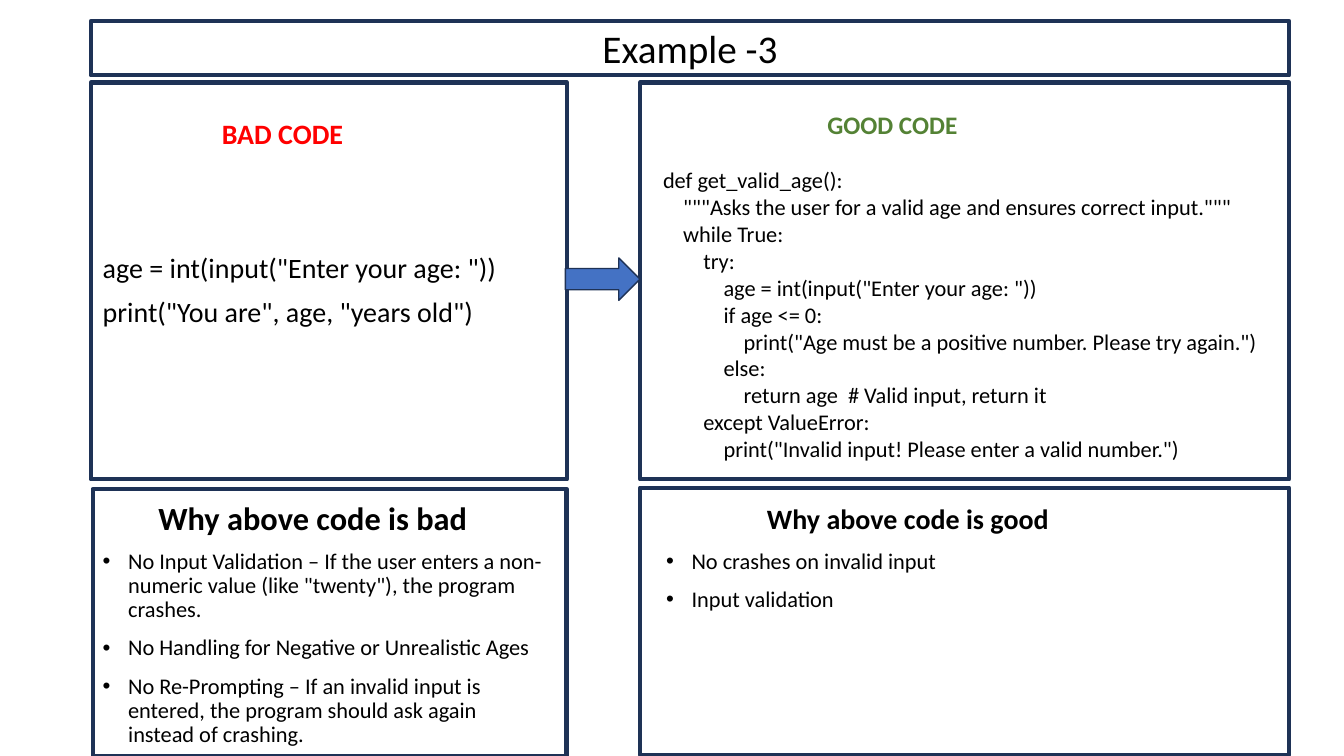
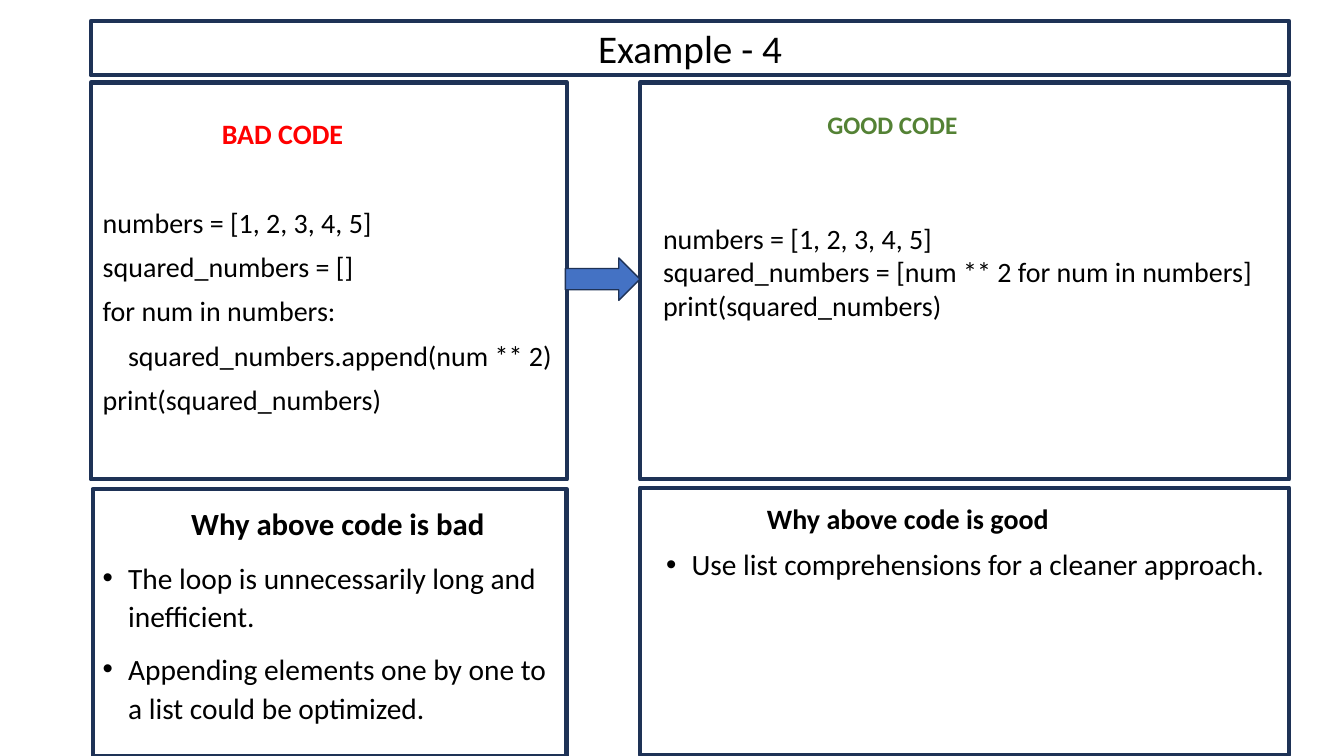
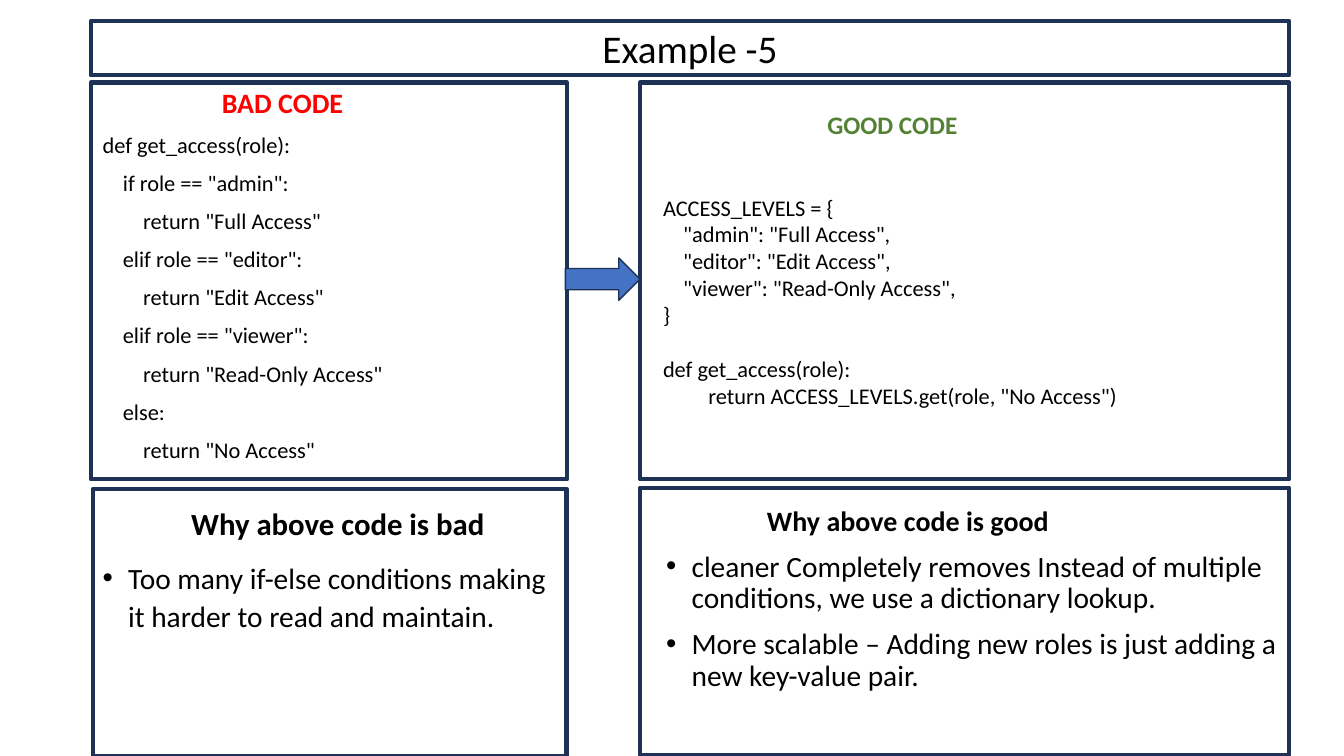
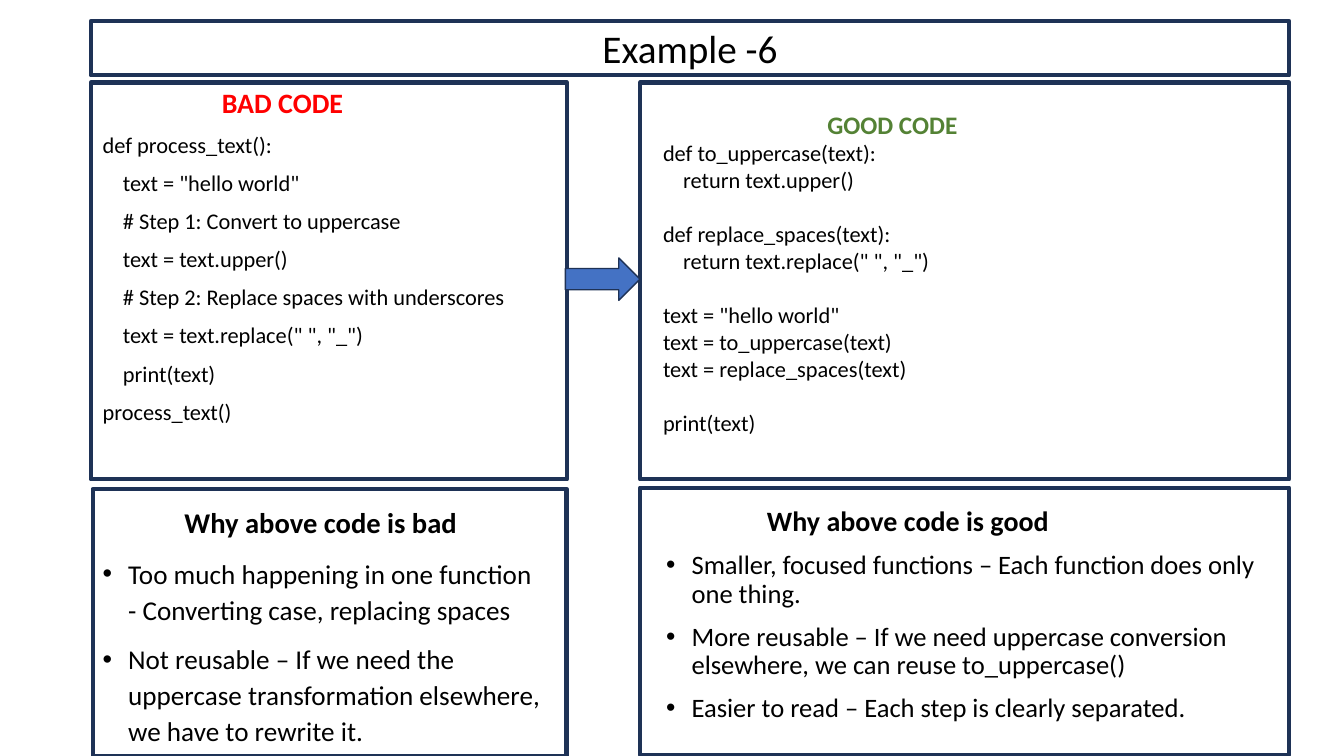
"""Build four slides that compare bad code with good code."""
from dataclasses import dataclass

from lxml.etree import SubElement
from pptx import Presentation
from pptx.dml.color import RGBColor
from pptx.enum.shapes import MSO_SHAPE
from pptx.enum.text import MSO_ANCHOR, PP_ALIGN
from pptx.oxml.ns import qn
from pptx.util import Cm, Pt

FONT = "Calibri"
BLACK = RGBColor(0x00, 0x00, 0x00)
RED = RGBColor(0xFF, 0x00, 0x00)
GREEN = RGBColor(0x54, 0x82, 0x35)
NAVY = RGBColor(0x1E, 0x32, 0x56)
BLUE = RGBColor(0x44, 0x72, 0xC4)

TITLE_BAR = (2.29, 0.53, 30.2, 1.37)
FRAMES = (
    (2.29, 2.08, 12, 10),
    (2.34, 12.32, 11.94, 6.73),
    (16.13, 2.08, 16.36, 10),
    (16.13, 12.29, 16.36, 6.73),
)
ARROW = (14.25, 6.5, 1.88, 1.07)
BAD_NOTES = (2.34, 12.7, 11.68, 6.58)
GOOD_CODE = (16.46, 2.62, 16.38, 9.25)
GOOD_NOTES = (16.54, 12.62, 15.95, 6.58)
BULLET_INDENT = Cm(0.64)
LINE_HEIGHT = 1.22


@dataclass
class Code:
    """A code listing, its text size and the gap above it in points."""
    size: float
    gap: float
    text: str


@dataclass
class Notes:
    """Bulleted reasons under a heading."""
    size: float
    lines: tuple
    spacing: float = 0.9
    heading_size: float = 20
    heading_spacing: float = 0.9
    heading_indent: float = 2.54


@dataclass
class Example:
    """Everything that differs from one slide to the next."""
    title: str
    bad_top: float
    bad_code: Code
    good_code: Code
    bad_notes: Notes
    good_notes: Notes


EXAMPLES = (
    Example(
        "Example -3",
        2.9,
        Code(20, 74, '''age = int(input("Enter your age: "))
print("You are", age, "years old")'''),
        Code(16, 19.5, '''def get_valid_age():
    """Asks the user for a valid age and ensures correct input."""
    while True:
        try:
            age = int(input("Enter your age: "))
            if age <= 0:
                print("Age must be a positive number. Please try again.")
            else:
                return age  # Valid input, return it
        except ValueError:
            print("Invalid input! Please enter a valid number.")'''),
        Notes(16, (
            'No Input Validation – If the user enters a non-numeric value (like "twenty"), the program crashes.',
            "No Handling for Negative or Unrealistic Ages",
            "No Re-Prompting – If an invalid input is entered, the program should ask again instead of crashing.",
        ), heading_size=23.1, heading_spacing=0.7, heading_indent=1.4),
        Notes(16, ("No crashes on invalid input", "Input validation")),
    ),
    Example(
        "Example - 4",
        2.9,
        Code(20, 42, '''numbers = [1, 2, 3, 4, 5]
squared_numbers = []
for num in numbers:
    squared_numbers.append(num ** 2)
print(squared_numbers)'''),
        Code(20, 58.5, '''numbers = [1, 2, 3, 4, 5]
squared_numbers = [num ** 2 for num in numbers]
print(squared_numbers)'''),
        Notes(21, (
            "The loop is unnecessarily long and inefficient.",
            "Appending elements one by one to a list could be optimized.",
        ), spacing=1.1, heading_size=22, heading_indent=2.23),
        Notes(21, ("Use list comprehensions for a cleaner approach.",)),
    ),
    Example(
        "Example -5",
        2.13,
        Code(16, 10, '''def get_access(role):
    if role == "admin":
        return "Full Access"
    elif role == "editor":
        return "Edit Access"
    elif role == "viewer":
        return "Read-Only Access"
    else:
        return "No Access"'''),
        Code(16, 39, '''ACCESS_LEVELS = {
    "admin": "Full Access",
    "editor": "Edit Access",
    "viewer": "Read-Only Access",
}

def get_access(role):
         return ACCESS_LEVELS.get(role, "No Access")'''),
        Notes(21, (
            "Too many if-else conditions making it harder to read and maintain.",
        ), spacing=1.1, heading_size=22, heading_indent=2.23),
        Notes(21, (
            "cleaner Completely removes Instead of multiple conditions, we use a dictionary lookup.",
            "More scalable – Adding new roles is just adding a new key-value pair.",
        ), heading_spacing=0.95),
    ),
    Example(
        "Example -6",
        2.13,
        Code(16, 10, '''def process_text():
    text = "hello world"
    # Step 1: Convert to uppercase
    text = text.upper()
    # Step 2: Replace spaces with underscores
    text = text.replace(" ", "_")
    print(text)
process_text()'''),
        Code(16, 0, '''def to_uppercase(text):
    return text.upper()

def replace_spaces(text):
    return text.replace(" ", "_")

text = "hello world"
text = to_uppercase(text)
text = replace_spaces(text)

print(text)'''),
        Notes(19.4, (
            "Too much happening in one function - Converting case, replacing spaces",
            "Not reusable – If we need the uppercase transformation elsewhere, we have to rewrite it.",
        ), spacing=1.1, heading_size=20.4, heading_indent=2.06),
        Notes(19, (
            "Smaller, focused functions – Each function does only one thing.",
            "More reusable – If we need uppercase conversion elsewhere, we can reuse to_uppercase()",
            "Easier to read – Each step is clearly separated.",
        ), heading_spacing=0.95),
    ),
)


def format_runs(paragraph, size, color=BLACK, bold=False):
    """Set the font of every run in a paragraph."""
    for run in paragraph.runs:
        run.font.name = FONT
        run.font.size = Pt(size)
        run.font.bold = bold
        run.font.color.rgb = color


def add_outlined_shape(slide, kind, box, line_width, fill=None):
    """Add a navy-outlined shape, hollow unless a fill is given."""
    shape = slide.shapes.add_shape(kind, *map(Cm, box))
    shape.shadow.inherit = False
    shape.line.color.rgb = NAVY
    shape.line.width = Pt(line_width)
    if fill is None:
        shape.fill.background()
    else:
        shape.fill.solid()
        shape.fill.fore_color.rgb = fill
    return shape


def add_title(slide, title):
    """Add the framed title bar."""
    shape = add_outlined_shape(slide, MSO_SHAPE.RECTANGLE, TITLE_BAR, 3)
    shape.text_frame.text = title
    shape.text_frame.vertical_anchor = MSO_ANCHOR.MIDDLE
    paragraph = shape.text_frame.paragraphs[0]
    paragraph.alignment = PP_ALIGN.CENTER
    format_runs(paragraph, 28)


def add_headed_box(slide, box, heading, size, indent, spacing, color=BLACK):
    """Add a wrapping text box that opens with an indented bold heading."""
    text_frame = slide.shapes.add_textbox(*map(Cm, box)).text_frame
    text_frame.word_wrap = True
    paragraph = text_frame.paragraphs[0]
    paragraph.text = heading
    paragraph.line_spacing = spacing
    paragraph._p.get_or_add_pPr().set("marL", str(Cm(indent)))
    format_runs(paragraph, size, color, True)
    return text_frame


def add_code(text_frame, code, spacing, line_gap):
    """Add code lines, turning each empty line into space before the next."""
    gap = code.gap
    for line in code.text.splitlines():
        if not line:
            gap += code.size * LINE_HEIGHT
            continue
        paragraph = text_frame.add_paragraph()
        paragraph.text = line
        paragraph.line_spacing = spacing
        paragraph.space_before = Pt(gap)
        format_runs(paragraph, code.size)
        gap = line_gap


def add_notes(slide, box, heading, notes):
    """Add a heading with bulleted reasons."""
    text_frame = add_headed_box(slide, box, heading, notes.heading_size,
                                notes.heading_indent, notes.heading_spacing)
    for line in notes.lines:
        paragraph = text_frame.add_paragraph()
        paragraph.text = line
        properties = paragraph._p.get_or_add_pPr()
        properties.set("marL", str(BULLET_INDENT))
        properties.set("indent", str(-BULLET_INDENT))
        SubElement(properties, qn("a:buFont")).set("typeface", "Arial")
        SubElement(properties, qn("a:buChar")).set("char", "•")
        paragraph.line_spacing = notes.spacing
        paragraph.space_before = Pt(10)
        format_runs(paragraph, notes.size)


def add_example(presentation, example):
    """Add one slide comparing two pieces of code."""
    slide = presentation.slides.add_slide(presentation.slide_layouts[6])
    add_title(slide, example.title)
    for frame in FRAMES:
        add_outlined_shape(slide, MSO_SHAPE.RECTANGLE, frame, 3)
    add_outlined_shape(slide, MSO_SHAPE.RIGHT_ARROW, ARROW, 1, BLUE)

    bad_box = (2.34, example.bad_top, 11.94, 11.9 - example.bad_top)
    bad_frame = add_headed_box(slide, bad_box, "BAD CODE", 20, 3, 0.9, RED)
    add_code(bad_frame, example.bad_code, 0.9, 10)
    good_frame = add_headed_box(slide, GOOD_CODE, "GOOD CODE", 18, 4.14, 1.0, GREEN)
    add_code(good_frame, example.good_code, 1.0, 0)

    add_notes(slide, BAD_NOTES, "Why above code is bad", example.bad_notes)
    add_notes(slide, GOOD_NOTES, "Why above code is good", example.good_notes)


def main():
    """Build and save the presentation."""
    presentation = Presentation()
    presentation.slide_width = Cm(33.87)
    presentation.slide_height = Cm(19.05)
    for example in EXAMPLES:
        add_example(presentation, example)
    presentation.save("out.pptx")


if __name__ == "__main__":
    main()
